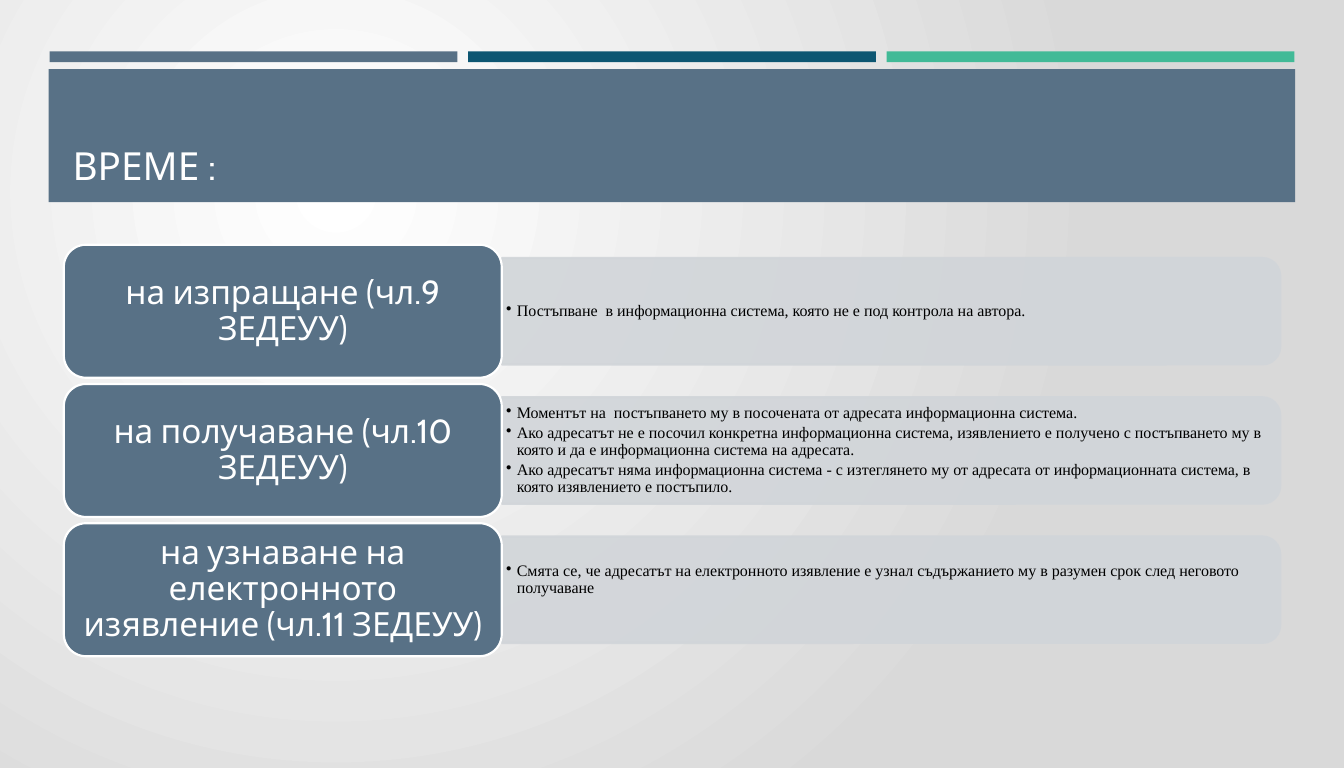
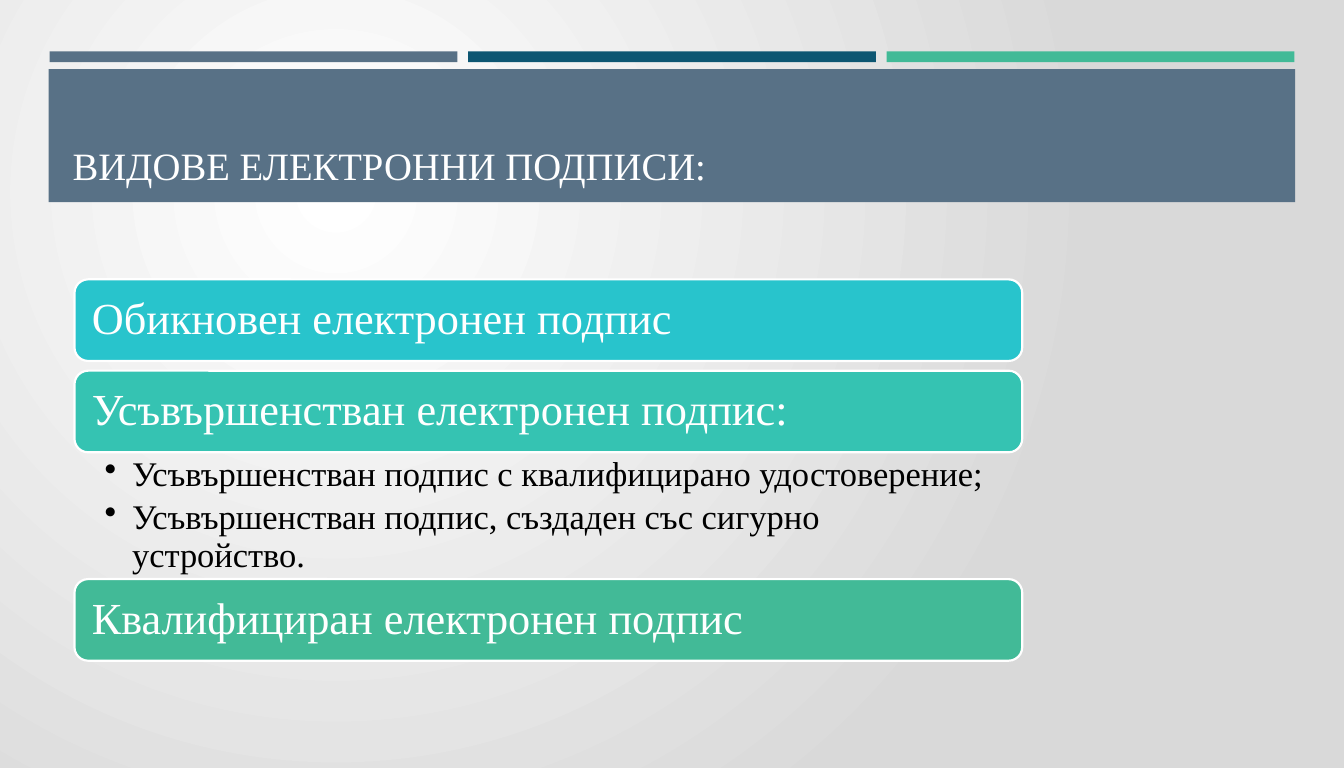
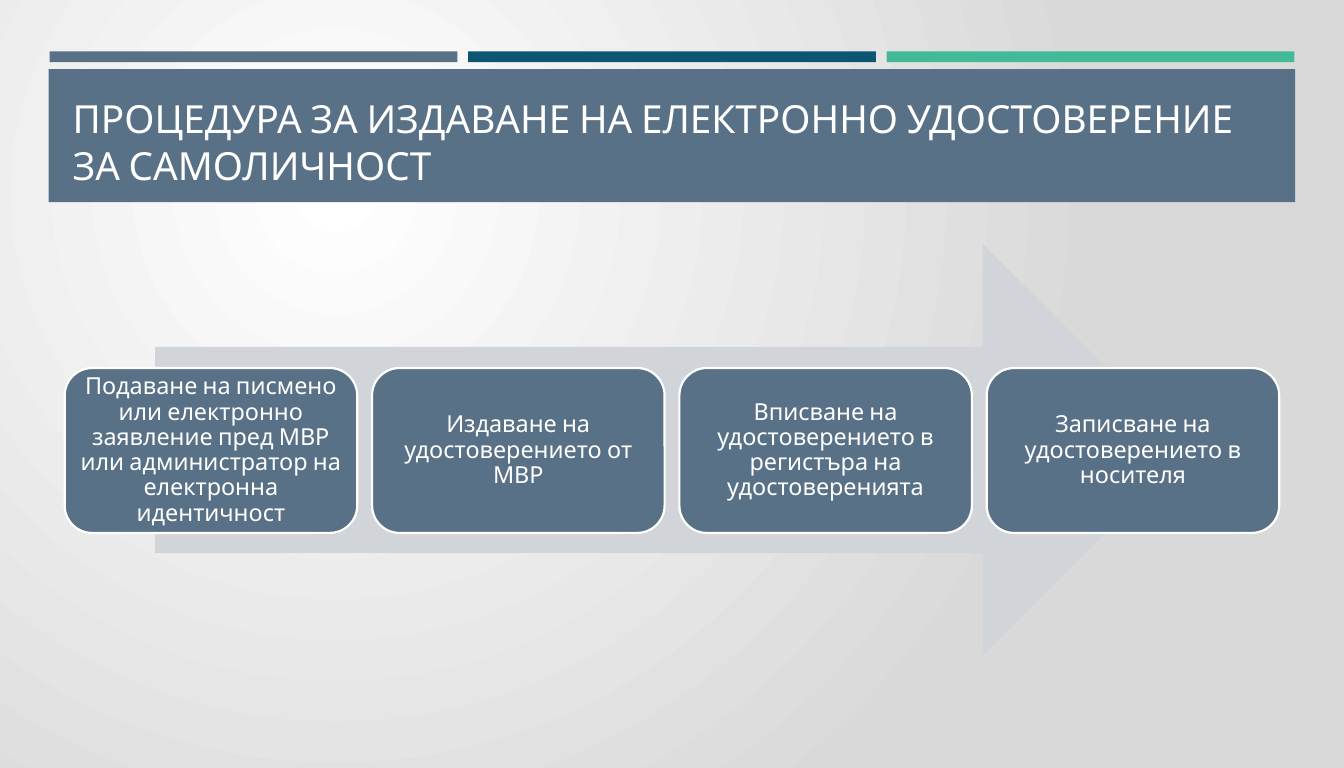
"""Build three slides on electronic statements, signatures and identity certificates."""
from dataclasses import dataclass

from pptx import Presentation
from pptx.dml.color import RGBColor
from pptx.enum.shapes import MSO_SHAPE
from pptx.enum.text import MSO_ANCHOR, PP_ALIGN
from pptx.oxml import parse_xml
from pptx.oxml.ns import nsdecls, qn
from pptx.oxml.xmlchemy import OxmlElement
from pptx.util import Inches, Pt


@dataclass(frozen=True)
class Theme:
    slate: str = "587186"
    navy: str = "0D5672"
    green: str = "42BA97"
    teal: str = "35C3B2"
    cyan: str = "28C4CC"
    pale: str = "D1D5D9"
    grey: str = "D9D9D9"
    white: str = "FFFFFF"
    black: str = "000000"
    sans: str = "Cabin"
    serif: str = "Times New Roman"
    title_size: float = 31.4
    signature_size: float = 36
    signature_detail_size: float = 28
    moment_size: float = 27
    moment_detail_size: float = 13
    step_size: float = 19
    outline: float = 1.75


THEME = Theme()

MOMENTS_TITLE = "ВРЕМЕ :"
MOMENTS = [
    ("на изпращане (чл.9 ЗЕДЕУУ)", 0.03, [
        "Постъпване  в информационна система, която не е под контрола на автора.",
    ]),
    ("на получаване (чл.10 ЗЕДЕУУ)", 0.03, [
        "Моментът на  постъпването му в посочената от адресата информационна система.",
        "Ако адресатът не е посочил конкретна информационна система, изявлението е "
        "получено с постъпването му в която и да е информационна система на адресата.",
        "Ако адресатът няма информационна система - с изтеглянето му от адресата от "
        "информационната система, в която изявлението е постъпило.",
    ]),
    ("на узнаване на електронното изявление (чл.11 ЗЕДЕУУ)", 0.25, [
        "Смята се, че адресатът на електронното изявление е узнал съдържанието му "
        "в разумен срок след неговото получаване",
    ]),
]

SIGNATURES_TITLE = "ВИДОВЕ ЕЛЕКТРОННИ ПОДПИСИ:"
SIGNATURES = [
    ("Обикновен електронен подпис", THEME.cyan, []),
    ("Усъвършенстван електронен подпис:", THEME.teal, [
        "Усъвършенстван подпис с квалифицирано удостоверение;",
        "Усъвършенстван подпис, създаден със сигурно устройство.",
    ]),
    ("Квалифициран електронен подпис", THEME.green, []),
]

STEPS_TITLE = "ПРОЦЕДУРА ЗА ИЗДАВАНЕ НА ЕЛЕКТРОННО УДОСТОВЕРЕНИЕ ЗА САМОЛИЧНОСТ"
STEPS = [
    "Подаване на писмено или електронно заявление пред МВР или администратор "
    "на електронна идентичност",
    "Издаване на удостоверението от МВР",
    "Вписване на удостоверението в регистъра на удостоверенията",
    "Записване на удостоверението в носителя",
]


def add_block(slide, preset, box, color, outline=None):
    """Add a filled preset shape, with an outline when a colour is given."""
    shape = slide.shapes.add_shape(preset, *map(Inches, box))
    shape.shadow.inherit = False
    shape.fill.solid()
    shape.fill.fore_color.rgb = RGBColor.from_string(color)
    if outline:
        shape.line.color.rgb = RGBColor.from_string(outline)
        shape.line.width = Pt(THEME.outline)
    else:
        shape.line.fill.background()
    return shape


def set_bullet(paragraph, indent):
    """Give a paragraph a round bullet with a hanging indent."""
    properties = paragraph._p.get_or_add_pPr()
    properties.set("marL", str(Inches(indent)))
    properties.set("indent", str(-Inches(indent)))
    bullet = OxmlElement("a:buChar")
    bullet.set("char", "•")
    properties.append(bullet)


def write(shape, lines, size, font, color, margins, anchor=MSO_ANCHOR.MIDDLE,
          align=PP_ALIGN.LEFT, spacing=0.9, indent=None, gap=0):
    """Fill a shape with evenly styled paragraphs."""
    frame = shape.text_frame
    frame.word_wrap = True
    frame.vertical_anchor = anchor
    (frame.margin_left, frame.margin_top,
     frame.margin_right, frame.margin_bottom) = map(Inches, margins)
    for index, line in enumerate(lines):
        paragraph = frame.add_paragraph() if index else frame.paragraphs[0]
        paragraph.text = line
        paragraph.alignment = align
        paragraph.line_spacing = spacing
        if gap:
            paragraph.space_after = Pt(gap)
        if indent:
            set_bullet(paragraph, indent)
        paragraph.font.size = Pt(size)
        paragraph.font.name = font
        paragraph.font.color.rgb = RGBColor.from_string(color)


def add_text(slide, box, lines, *style, **options):
    """Add a text box with styled paragraphs."""
    write(slide.shapes.add_textbox(*map(Inches, box)), lines, *style, **options)


def add_card(slide, box, color, text, size, font, margins, align):
    """Add a rounded card with a white outline and white text."""
    card = add_block(slide, MSO_SHAPE.ROUNDED_RECTANGLE, box, color, THEME.white)
    write(card, [text], size, font, THEME.white, margins, align=align)


def set_background(master):
    """Give the master a circular white to grey gradient."""
    fill = master.background.fill
    fill.gradient()
    for stop, color in zip(fill.gradient_stops, (THEME.white, THEME.grey)):
        stop.color.rgb = RGBColor.from_string(color)
    gradient = master.element.find(".//" + qn("a:gradFill"))
    gradient.replace(gradient.find(qn("a:lin")), parse_xml(
        f'<a:path {nsdecls("a")} path="circle">'
        '<a:fillToRect l="50000" t="50000" r="100000" b="100000"/></a:path>'))


def add_slide(presentation, title, font=THEME.sans):
    """Add a blank slide with the colour bands and the title panel."""
    slide = presentation.slides.add_slide(presentation.slide_layouts[6])
    for index, color in enumerate((THEME.slate, THEME.navy, THEME.green)):
        add_block(slide, MSO_SHAPE.RECTANGLE, (0.56 + index * 4.72, 0.58, 4.6, 0.12), color)
    add_block(slide, MSO_SHAPE.RECTANGLE, (0.55, 0.78, 14.06, 1.5), THEME.slate)
    add_text(slide, (0.72, 0.89, 13.71, 1.28), [title], THEME.title_size, font, THEME.white,
             (0.1, 0.05, 0.1, 0.05), anchor=MSO_ANCHOR.BOTTOM, spacing=1.0)
    return slide


def add_detail_bar(slide, left, middle, length, thickness):
    """Add a translucent bar rounded at its right end."""
    box = (left + (length - thickness) / 2, middle - length / 2, thickness, length)
    bar = add_block(slide, MSO_SHAPE.ROUND_2_SAME_RECTANGLE, box, THEME.pale, THEME.pale)
    bar.rotation = 90
    for color in bar.element.spPr.iter(qn("a:srgbClr")):
        alpha = OxmlElement("a:alpha")
        alpha.set("val", "90000")
        color.append(alpha)


def build_moments(presentation):
    """Pair each moment with its explanation."""
    slide = add_slide(presentation, MOMENTS_TITLE)
    left, width, height, pitch = 0.72, 4.94, 1.5, 1.57
    for row, (moment, bottom, details) in enumerate(MOMENTS):
        top = 2.76 + row * pitch
        middle = top + height / 2
        add_detail_bar(slide, left + width, middle, 8.78, 1.2)
        add_text(slide, (left + width, middle - 0.54, 8.72, 1.08), details,
                 THEME.moment_detail_size, THEME.serif, THEME.black,
                 (0.05, 0.03, 0.05, bottom), indent=0.12, gap=2)
        add_card(slide, (left, top, width, height), THEME.slate, moment, THEME.moment_size,
                 THEME.sans, (0.11, 0.06, 0.11, 0.06), PP_ALIGN.CENTER)


def build_signatures(presentation):
    """Stack the signature kinds, with details under their heading."""
    slide = add_slide(presentation, SIGNATURES_TITLE, THEME.serif)
    left, top, width, height, gap, detail_height = 0.84, 3.15, 10.69, 0.92, 0.11, 1.43
    for signature, color, details in SIGNATURES:
        add_card(slide, (left, top, width, height), color, signature, THEME.signature_size,
                 THEME.serif, (0.15,) * 4, PP_ALIGN.LEFT)
        top += height
        if details:
            add_text(slide, (left, top, width, detail_height), details,
                     THEME.signature_detail_size, THEME.serif, THEME.black,
                     (0.34, 0.05, 0.28, 0.05), anchor=MSO_ANCHOR.TOP, indent=0.31, gap=5)
        top += detail_height if details else gap


def build_steps(presentation):
    """Lay the procedure steps along an arrow."""
    slide = add_slide(presentation, STEPS_TITLE)
    add_block(slide, MSO_SHAPE.RIGHT_ARROW, (1.75, 2.75, 11.66, 4.65), THEME.pale)
    left, span, width = 0.73, 13.7, 3.3
    pitch = (span - width) / (len(STEPS) - 1)
    for column, step in enumerate(STEPS):
        add_card(slide, (left + column * pitch, 4.15, width, 1.86), THEME.slate, step,
                 THEME.step_size, THEME.sans, (0.08,) * 4, PP_ALIGN.CENTER)


def main():
    """Build and save the presentation."""
    presentation = Presentation()
    presentation.slide_width = Inches(15.16)
    presentation.slide_height = Inches(8.66)
    set_background(presentation.slide_master)
    for build in (build_moments, build_signatures, build_steps):
        build(presentation)
    presentation.save("out.pptx")


if __name__ == "__main__":
    main()
